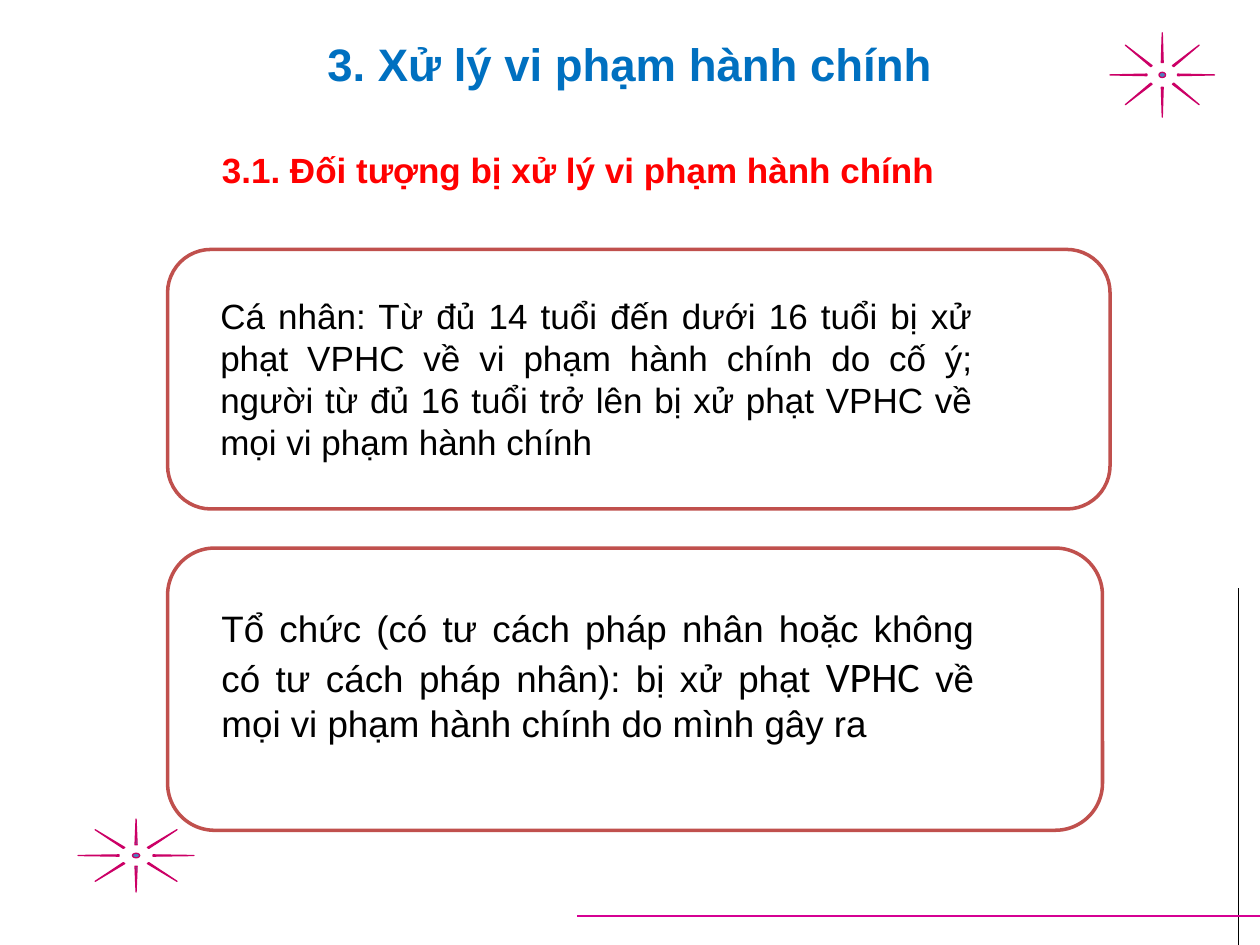
from lxml import etree
from pptx import Presentation
from pptx.dml.color import RGBColor
from pptx.enum.shapes import MSO_CONNECTOR, MSO_SHAPE
from pptx.enum.text import MSO_ANCHOR, MSO_AUTO_SIZE, PP_ALIGN
from pptx.oxml.ns import qn
from pptx.util import Inches, Pt

SUN = MSO_SHAPE.SUN
ROUNDED_BOX = MSO_SHAPE.FLOWCHART_ALTERNATE_PROCESS
STRAIGHT = MSO_CONNECTOR.STRAIGHT
CENTER, JUSTIFY = PP_ALIGN.CENTER, PP_ALIGN.JUSTIFY
MIDDLE, TOP = MSO_ANCHOR.MIDDLE, MSO_ANCHOR.TOP
FIT_SHAPE, NO_FIT = MSO_AUTO_SIZE.SHAPE_TO_FIT_TEXT, MSO_AUTO_SIZE.NONE

COLORS = {
    "title": "0070C0",
    "subtitle": "FF0000",
    "text": "000000",
    "box": "FFFFFF",
    "box_line": "C0504D",
    "sun": "4F81BD",
    "sun_line": "CC0066",
    "side_rule": "000000",
    "bottom_rule": "D60093",
}


class SlideBuilder:
    """Holds the style and the current slide."""

    font = "Arial"

    def __init__(self, presentation):
        self.slide = presentation.slides.add_slide(presentation.slide_layouts[5])

    def color(self, name):
        return RGBColor.from_string(COLORS[name])

    def shape(self, kind, bounds, fill, line, width):
        shape = self.slide.shapes.add_shape(kind, *map(Inches, bounds))
        shape.shadow.inherit = False
        shape.fill.solid()
        shape.fill.fore_color.rgb = self.color(fill)
        shape.line.color.rgb = self.color(line)
        shape.line.width = Pt(width)
        return shape

    def sun(self, bounds):
        self.shape(SUN, bounds, "sun", "sun_line", 0.75).adjustments[0] = 0.47

    def box(self, bounds):
        self.shape(ROUNDED_BOX, bounds, "box", "box_line", 2)

    def rule(self, start, end, color):
        line = self.slide.shapes.add_connector(STRAIGHT, *map(Inches, start + end))
        line.line.color.rgb = self.color(color)
        line.line.width = Pt(0.75)
        etree.SubElement(line._element.spPr, qn("a:effectLst"))

    def fill_text(self, shape, runs, size, color, align, bold=False):
        """Write runs given as text, or as (text, font, size) where they differ."""
        frame = shape.text_frame
        frame.word_wrap = True
        paragraph = frame.paragraphs[0]
        paragraph.alignment = align
        for item in runs:
            text, font, points = (item, self.font, size) if isinstance(item, str) else item
            run = paragraph.add_run()
            run.text = text
            run.font.name = font
            run.font.size = Pt(points)
            run.font.bold = bold
            run.font.color.rgb = self.color(color)

    def title(self, bounds, text):
        title = self.slide.shapes.title
        title.left, title.top, title.width, title.height = map(Inches, bounds)
        self.fill_text(title, [text], 26, "title", CENTER, bold=True)
        title.text_frame.vertical_anchor = MIDDLE
        title.text_frame.auto_size = NO_FIT

    def text(self, bounds, runs, size, color="text", align=JUSTIFY, bold=False):
        box = self.slide.shapes.add_textbox(*map(Inches, bounds))
        self.fill_text(box, runs, size, color, align, bold)
        box.text_frame.vertical_anchor = TOP
        box.text_frame.auto_size = FIT_SHAPE


def main():
    presentation = Presentation()
    presentation.slide_width = Inches(10)
    presentation.slide_height = Inches(7.5)
    builder = SlideBuilder(presentation)

    # Decoration
    builder.sun((8.81, 0.26, 0.83, 0.67))
    builder.sun((0.62, 6.5, 0.92, 0.58))

    # Frames and edge rules
    builder.box((1.33, 1.98, 7.48, 2.06))
    builder.box((1.33, 4.35, 7.42, 2.24))
    builder.rule((9.83, 4.67), (9.83, 7.83), "side_rule")
    builder.rule((4.58, 7.27), (10, 7.27), "bottom_rule")

    # Headings
    builder.title((1.05, 0.13, 7.9, 0.75), "3. Xử lý vi phạm hành chính")
    builder.text((1.09, 1.13, 7, 0.44), ["3.1. Đối tượng bị xử lý vi phạm hành chính"],
                 20, "subtitle", CENTER, bold=True)

    # Body texts
    builder.text((1.65, 2.29, 6.17, 1.44), [
        "Cá nhân: Từ đủ 14 tuổi đến dưới 16 tuổi bị xử phạt VPHC về vi phạm hành chính "
        "do cố ý; người từ đủ 16 tuổi trở lên bị xử phạt VPHC về mọi vi phạm hành chính",
    ], 20)
    builder.text((1.66, 4.76, 6.17, 1.21), [
        "Tổ chức (có tư cách pháp nhân hoặc không có tư cách pháp nhân): bị xử phạt ",
        ("VPHC", "Calibri", 24),
        " về mọi vi phạm hành chính do mình gây ra",
    ], 21)

    presentation.save("out.pptx")


if __name__ == "__main__":
    main()
